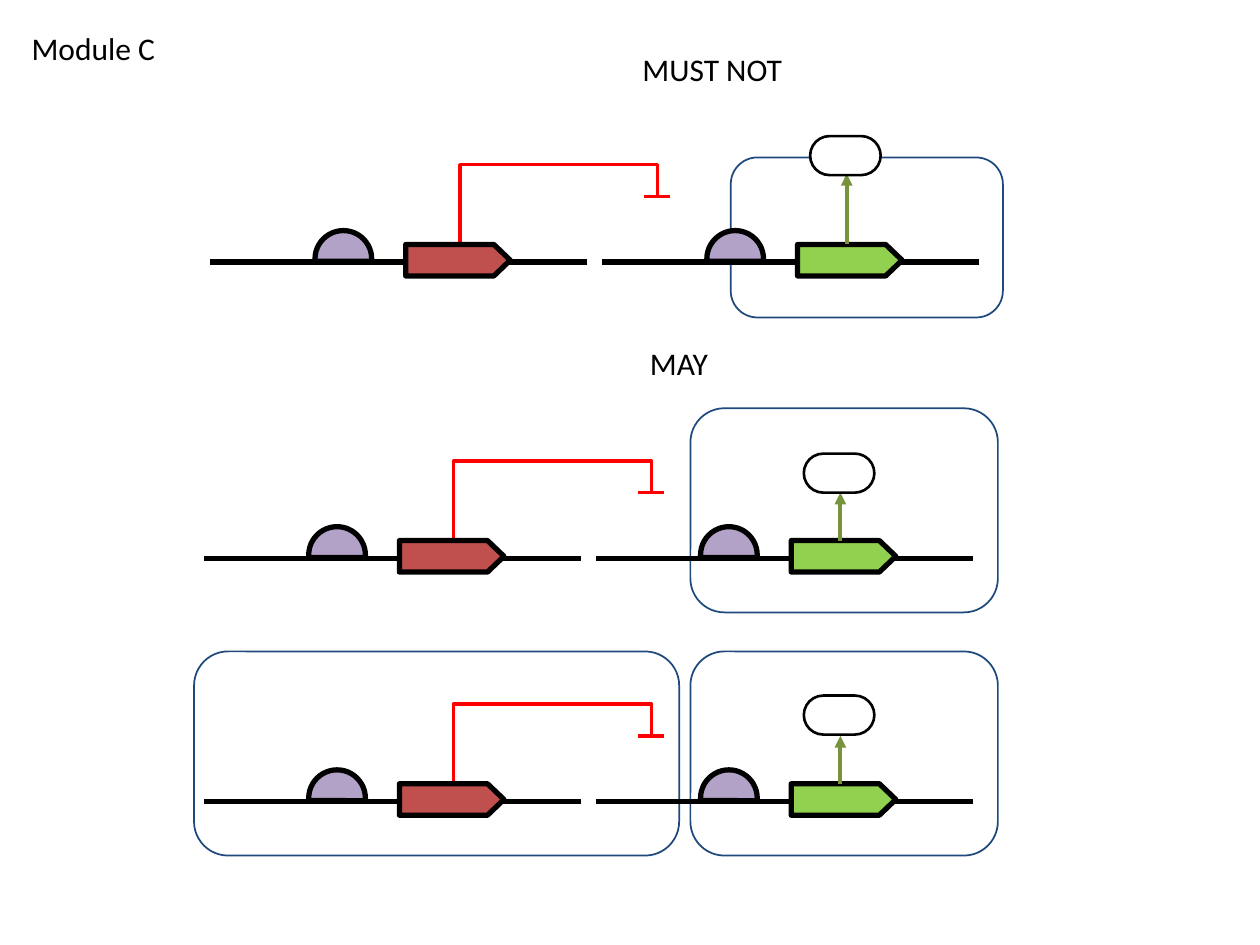
from lxml import etree
from pptx import Presentation
from pptx.dml.color import RGBColor
from pptx.enum.shapes import MSO_CONNECTOR as LINK, MSO_SHAPE as SHAPE
from pptx.enum.text import MSO_ANCHOR, MSO_AUTO_SIZE, PP_ALIGN
from pptx.oxml.ns import qn
from pptx.util import Inches, Pt

COLORS = {
    "ink": "000000", "paper": "FFFFFF", "frame": "1F497D", "repress": "FF0000",
    "repressor": "C0504D", "reporter": "92D050", "promoter": "B3A2C7", "produce": "77933C",
}
TITLE = ("Module C", (0.15, 0.18, 1.19, 0.4))
HEADINGS = [("MUST NOT", (5, 0.35, 1.32, 0.4)), ("MAY", (5.06, 2.68, 0.67, 0.4))]
CIRCUITS = [
    {"origin": (1.67, 2.08), "product_top": 1.08, "arrow_tip": 1.38,
     "frames": [(5.8, 1.25, 2.16, 1.27)]},
    {"origin": (1.62, 4.43), "product_top": 3.6, "arrow_tip": 3.91,
     "frames": [(5.48, 3.24, 2.44, 1.62)]},
    {"origin": (1.62, 6.36), "product_top": 5.52, "arrow_tip": 5.84,
     "frames": [(5.48, 5.17, 2.44, 1.62), (1.54, 5.17, 3.85, 1.62)]},
]
GENES = ["repressor", "reporter"]
GENE_PITCH = 3.11
STRAND_LENGTH = 2.99


def rgb(name):
    return RGBColor.from_string(COLORS[name])


def draw_shape(shapes, kind, box, line, width, fill=None, adjustments=()):
    part = shapes.add_shape(kind, *map(Inches, box))
    part.shadow.inherit = False
    for index, value in enumerate(adjustments):
        part.adjustments[index] = value
    if fill:
        part.fill.solid()
        part.fill.fore_color.rgb = rgb(fill)
    else:
        part.fill.background()
    part.line.color.rgb = rgb(line)
    part.line.width = Pt(width)


def draw_line(shapes, start, end, color, width, kind=LINK.STRAIGHT):
    link = shapes.add_connector(kind, *map(Inches, (*start, *end)))
    link.line.color.rgb = rgb(color)
    link.line.width = Pt(width)
    etree.SubElement(link._element.spPr, qn("a:effectLst"))
    return link


def write_label(label, text):
    frame = label.text_frame
    frame.text = text
    frame.word_wrap = False
    frame.auto_size = MSO_AUTO_SIZE.SHAPE_TO_FIT_TEXT
    frame.vertical_anchor = MSO_ANCHOR.TOP
    paragraph = frame.paragraphs[0]
    paragraph.alignment = PP_ALIGN.LEFT
    paragraph.font.size = Pt(18)
    paragraph.font.name = "Calibri"
    paragraph.font.color.rgb = rgb("ink")


def draw_repression(shapes, x, y):
    stop_x, stop_y = x + 3.55, y - 0.52
    elbow = draw_line(shapes, (x + 1.98, y - 0.14), (stop_x, stop_y), "repress", 2, LINK.ELBOW)
    geometry = elbow._element.spPr.find(qn("a:prstGeom"))
    geometry.set("prst", "bentConnector4")
    guides = geometry.get_or_add_avLst()
    for name, value in (("adj1", 0), ("adj2", 166500)):
        etree.SubElement(guides, qn("a:gd"), name=name, fmla=f"val {value}")
    draw_line(shapes, (stop_x - 0.11, stop_y), (stop_x + 0.1, stop_y), "repress", 2)


def draw_gene(shapes, x, y, gene):
    unit = shapes.add_group_shape().shapes
    draw_line(unit, (x, y), (x + STRAND_LENGTH, y), "ink", 3)
    draw_shape(unit, SHAPE.RIGHT_ARROW, (x + 1.55, y - 0.14, 0.83, 0.25),
               "ink", 3, gene, (1, 0.522))
    draw_shape(unit, SHAPE.CHORD, (x + 0.83, y - 0.25, 0.45, 0.45),
               "ink", 3, "promoter", (105.062, 3.015))


def draw_circuit(shapes, circuit):
    x, y = circuit["origin"]
    for frame in circuit["frames"]:
        draw_shape(shapes, SHAPE.ROUNDED_RECTANGLE, frame, "frame", 1)
    draw_repression(shapes, x, y)
    for index, gene in enumerate(GENES):
        draw_gene(shapes, x + index * GENE_PITCH, y, gene)
    arrow_x = x + 5.05
    arrow = draw_line(shapes, (arrow_x, y - 0.14), (arrow_x, circuit["arrow_tip"]), "produce", 2.25)
    etree.SubElement(arrow.line._get_or_add_ln(), qn("a:tailEnd"), type="triangle")
    draw_shape(shapes, SHAPE.ROUNDED_RECTANGLE, (x + 4.76, circuit["product_top"], 0.56, 0.31),
               "ink", 1.5, "paper", (0.5,))


def main():
    """Build the slide of required and optional gene circuits in Module C."""
    deck = Presentation()
    deck.slide_width, deck.slide_height = Inches(10), Inches(7.5)
    slide = deck.slides.add_slide(deck.slide_layouts[5])
    shapes = slide.shapes
    text, box = TITLE
    title = shapes.title
    title.left, title.top, title.width, title.height = map(Inches, box)
    write_label(title, text)
    for text, box in HEADINGS:
        write_label(shapes.add_textbox(*map(Inches, box)), text)
    for circuit in CIRCUITS:
        draw_circuit(shapes, circuit)
    deck.save("out.pptx")


if __name__ == "__main__":
    main()
